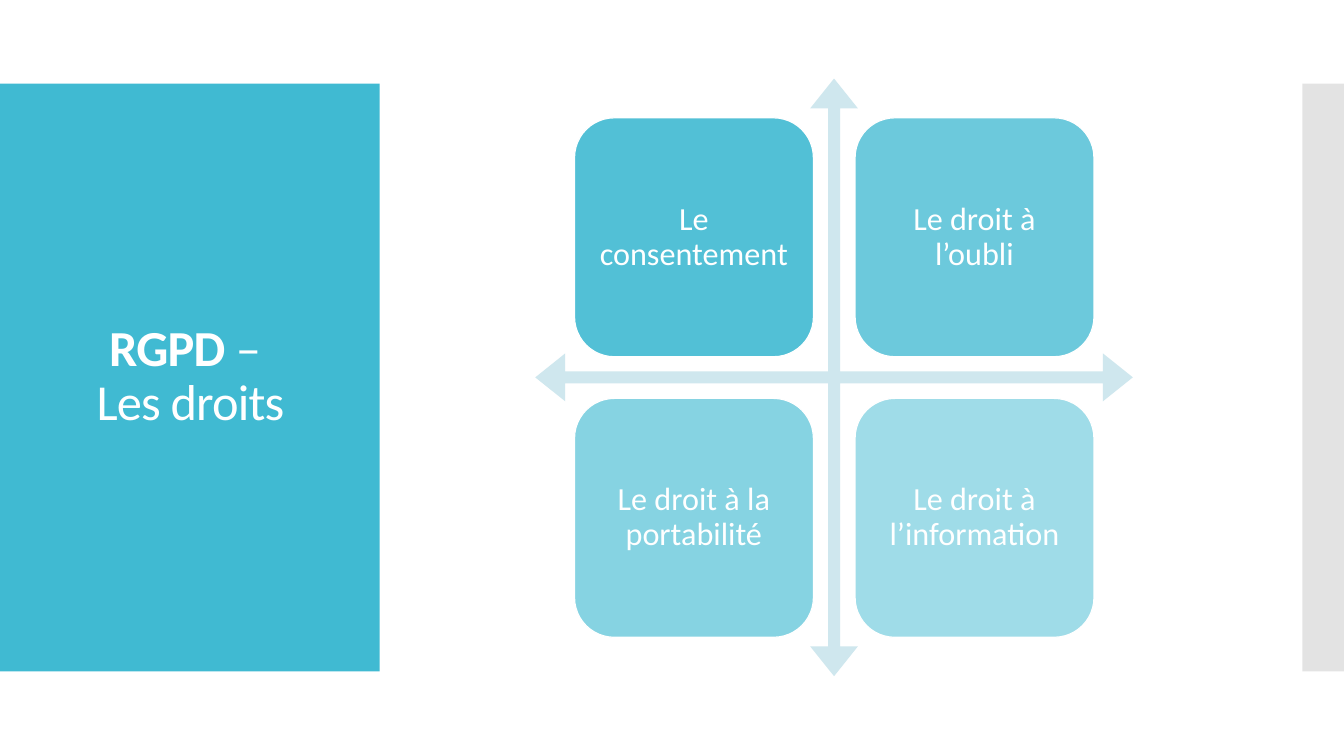
import copy

import pptx
import pptx.dml.color
import pptx.enum.shapes
import pptx.enum.text
import pptx.oxml.ns
import pptx.util
from lxml import etree

Cm = pptx.util.Cm
RGBColor = pptx.dml.color.RGBColor
MSO_SHAPE = pptx.enum.shapes.MSO_SHAPE

TEAL = RGBColor(0x40, 0xBA, 0xD2)
PALE_TEAL = RGBColor(0xCF, 0xE7, 0xEE)
GREY = RGBColor(0xC8, 0xC8, 0xC8)
WHITE = RGBColor(0xFF, 0xFF, 0xFF)
FONT = "Calibri"

RIGHTS = [
    ("Le consentement", 90),
    ("Le droit à l’oubli", 77),
    ("Le droit à la portabilité", 63),
    ("Le droit à l’information", 50),
]


def add_filled_shape(slide, kind, left, top, width, height, color, opacity=100):
    """Add a borderless preset shape, measured in centimetres."""
    sp = slide.shapes.add_shape(kind, Cm(left), Cm(top), Cm(width), Cm(height))
    sp.shadow.inherit = False
    sp.fill.solid()
    sp.fill.fore_color.rgb = color
    sp.line.fill.background()
    if opacity < 100:
        clr = sp.fill._xPr.find(".//" + pptx.oxml.ns.qn("a:srgbClr"))
        etree.SubElement(clr, pptx.oxml.ns.qn("a:alpha"), val=str(opacity * 1000))
    return sp


def format_text(tf, size):
    """Centre the text both ways and set its white font."""
    tf.word_wrap = True
    tf.auto_size = pptx.enum.text.MSO_AUTO_SIZE.NONE
    tf.vertical_anchor = pptx.enum.text.MSO_ANCHOR.MIDDLE
    for p in tf.paragraphs:
        p.alignment = pptx.enum.text.PP_ALIGN.CENTER
        p.line_spacing = 0.9
        for r in p.runs:
            r.font.name = FONT
            r.font.size = pptx.util.Pt(size)
            r.font.color.rgb = WHITE


def add_title(slide):
    """Fill the title placeholder and bring it in front of its panel."""
    title = slide.shapes.title
    title.left, title.top, title.width, title.height = Cm(0.71), Cm(3.12), Cm(8.18), Cm(12.78)
    tf = title.text_frame
    tf.text = "RGPD"
    p = tf.paragraphs[0]
    p.add_run().text = " – "
    p.add_line_break()
    p.add_run().text = "Les droits"
    format_text(tf, 36)
    for r in p.runs:
        r.font.bold = r.text == "RGPD"
        r.font._element.set("spc", "-60")
    br = p._p.find(pptx.oxml.ns.qn("a:br"))
    br.insert(0, copy.deepcopy(p.runs[-1].font._element))
    slide.shapes._spTree.append(title._element)


def add_cross(slide):
    """Add the four-way arrow behind the cards."""
    sp = add_filled_shape(slide, MSO_SHAPE.QUAD_ARROW, 13.49, 1.98, 15.06, 15.06, PALE_TEAL)
    for i, value in enumerate((0.02, 0.04, 0.05)):
        sp.adjustments[i] = value


def add_card(slide, index, text, opacity):
    """Add one right as a rounded card in the two-by-two grid."""
    size, pitch, inset = 6.02, 7.07, Cm(0.55)
    row, col = divmod(index, 2)
    sp = add_filled_shape(slide, MSO_SHAPE.ROUNDED_RECTANGLE, 14.48 + col * pitch,
                          2.97 + row * pitch, size, size, TEAL, opacity)
    sp.line.color.rgb = WHITE
    sp.line.width = pptx.util.Pt(0.85)
    tf = sp.text_frame
    tf.margin_left = tf.margin_right = tf.margin_top = tf.margin_bottom = inset
    # The shape's own rounded inset already narrows the text area.
    tf.margin_left = tf.margin_right = tf.margin_top = tf.margin_bottom = Cm(0.25)
    tf.text = text
    format_text(tf, 23)


def main():
    """Build the slide and save it."""
    prs = pptx.Presentation()
    prs.slide_width, prs.slide_height = Cm(33.87), Cm(19.05)
    slide = prs.slides.add_slide(prs.slide_layouts[5])
    add_filled_shape(slide, MSO_SHAPE.RECTANGLE, 0, 2.11, 9.57, 14.81, TEAL)
    add_filled_shape(slide, MSO_SHAPE.RECTANGLE, 32.82, 2.11, 1.05, 14.81, GREY, 50)
    add_title(slide)
    add_cross(slide)
    for index, (text, opacity) in enumerate(RIGHTS):
        add_card(slide, index, text, opacity)
    prs.save("out.pptx")


if __name__ == "__main__":
    main()
